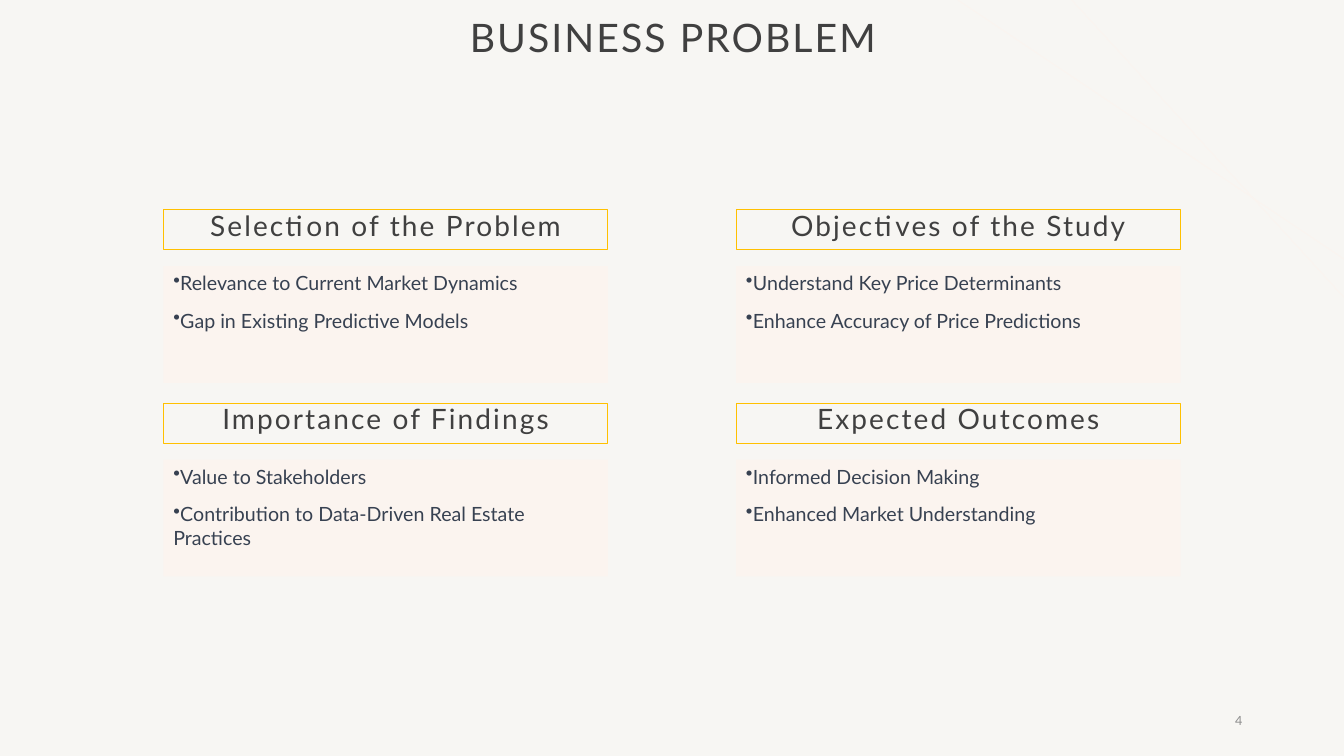
from dataclasses import dataclass

from lxml import etree
from pptx import Presentation
from pptx.dml.color import RGBColor
from pptx.enum import shapes, text
from pptx.oxml.ns import qn
from pptx.util import Inches, Pt


@dataclass(frozen=True)
class Theme:
    font: str = "Lato"
    background: str = "F7F6F3"
    panel: str = "FBF4EF"
    accent: str = "FFC000"
    heading: str = "404040"
    body: str = "374151"
    muted: str = "8C8C8C"
    title_size: int = 28
    heading_size: int = 20
    body_size: int = 14
    number_size: int = 9


T = Theme()
LEFT, TOP = 1.62, 2.08
COLUMN_STEP, ROW_STEP = 5.68, 1.92
CARD_W, HEADING_H, PANEL_H = 4.41, 0.4, 1.16
PANEL_OFFSET = 0.56

CARDS = [
    ("Selection of the Problem",
     ["Relevance to Current Market Dynamics", "Gap in Existing Predictive Models"]),
    ("Objectives of the Study",
     ["Understand Key Price Determinants", "Enhance Accuracy of Price Predictions"]),
    ("Importance of Findings",
     ["Value to Stakeholders", "Contribution to Data-Driven Real Estate Practices"]),
    ("Expected Outcomes",
     ["Informed Decision Making", "Enhanced Market Understanding"]),
]


def apply(target, values):
    for name, value in values.items():
        setattr(target, name, value)


def write(sp, lines, size, color, para, anchor=text.MSO_ANCHOR.TOP, tracking=0, bullet=None):
    tf = sp.text_frame
    apply(tf, {"word_wrap": True, "vertical_anchor": anchor})
    for i, line in enumerate(lines):
        p = tf.add_paragraph() if i else tf.paragraphs[0]
        apply(p, para)
        if i:
            p.space_before = Pt(10)
        if bullet:
            etree.SubElement(p._p.get_or_add_pPr(), qn("a:buChar")).set("char", bullet)
        r = p.add_run()
        r.text = line
        apply(r.font, {"name": T.font, "size": Pt(size)})
        r.font.color.rgb = RGBColor.from_string(color)
        if tracking:
            r._r.get_or_add_rPr().set("spc", str(tracking))


def add_box(s, x, y, w, h, fill=None, line=None):
    sp = s.shapes.add_shape(shapes.MSO_SHAPE.RECTANGLE,
                            Inches(x), Inches(y), Inches(w), Inches(h))
    sp.shadow.inherit = False
    if fill:
        sp.fill.solid()
        sp.fill.fore_color.rgb = RGBColor.from_string(fill)
    else:
        sp.fill.background()
    if line:
        sp.line.color.rgb = RGBColor.from_string(line)
        sp.line.width = Pt(0.75)
    else:
        sp.line.fill.background()
    return sp


def add_label(s, x, y, w, h, label, size, color, para, tracking=0):
    sp = s.shapes.add_textbox(Inches(x), Inches(y), Inches(w), Inches(h))
    write(sp, [label], size, color, para, text.MSO_ANCHOR.MIDDLE, tracking)


def add_corner_line(s, x1, y1, x2, y2):
    c = s.shapes.add_connector(shapes.MSO_CONNECTOR.STRAIGHT,
                               Inches(x1), Inches(y1), Inches(x2), Inches(y2))
    c.line.color.rgb = RGBColor.from_string(T.panel)
    c.line.width = Pt(0.5)
    etree.SubElement(c._element.spPr, qn("a:effectLst"))


def add_card(s, x, y, heading, points):
    sp = add_box(s, x, y, CARD_W, HEADING_H, line=T.accent)
    write(sp, [heading], T.heading_size, T.heading,
          {"alignment": text.PP_ALIGN.CENTER, "line_spacing": 0.8}, tracking=150)
    sp = add_box(s, x, y + PANEL_OFFSET, CARD_W, PANEL_H, fill=T.panel)
    write(sp, points, T.body_size, T.body,
          {"alignment": text.PP_ALIGN.LEFT}, bullet="•")


def main():
    prs = Presentation()
    apply(prs, {"slide_width": Inches(13.33), "slide_height": Inches(7.5)})
    s = prs.slides.add_slide(prs.slide_layouts[6])
    s.background.fill.solid()
    s.background.fill.fore_color.rgb = RGBColor.from_string(T.background)

    add_corner_line(s, 9.5, 0, 13.33, 2.57)
    add_corner_line(s, 10.63, 0, 13.33, 2.95)
    for i, (heading, points) in enumerate(CARDS):
        row, column = divmod(i, 2)
        add_card(s, LEFT + column * COLUMN_STEP, TOP + row * ROW_STEP, heading, points)
    add_label(s, 9.42, 6.95, 3, 0.4, "4", T.number_size, T.muted,
              {"alignment": text.PP_ALIGN.RIGHT})
    add_label(s, 1.67, 0, 10.01, 0.79, "BUSINESS PROBLEM", T.title_size, T.heading,
              {"alignment": text.PP_ALIGN.CENTER, "line_spacing": 0.9}, tracking=150)
    prs.save("out.pptx")


if __name__ == "__main__":
    main()
